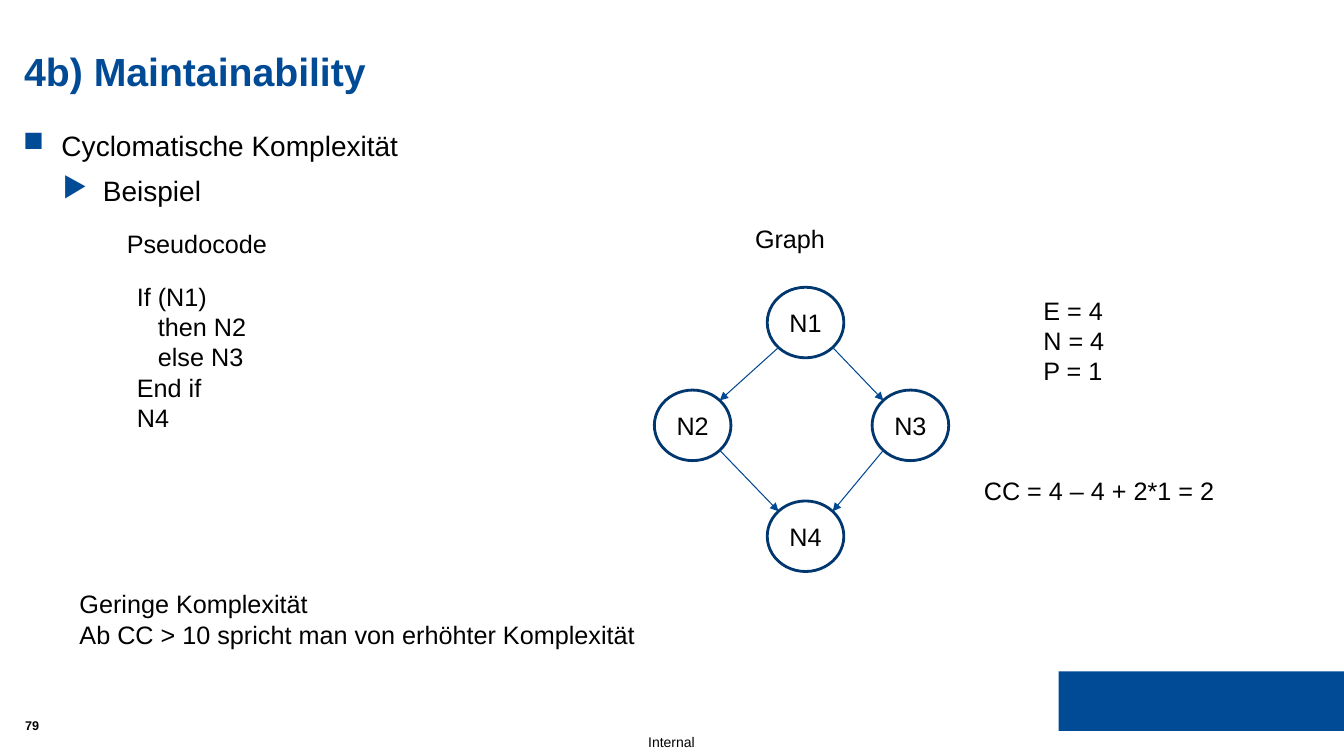
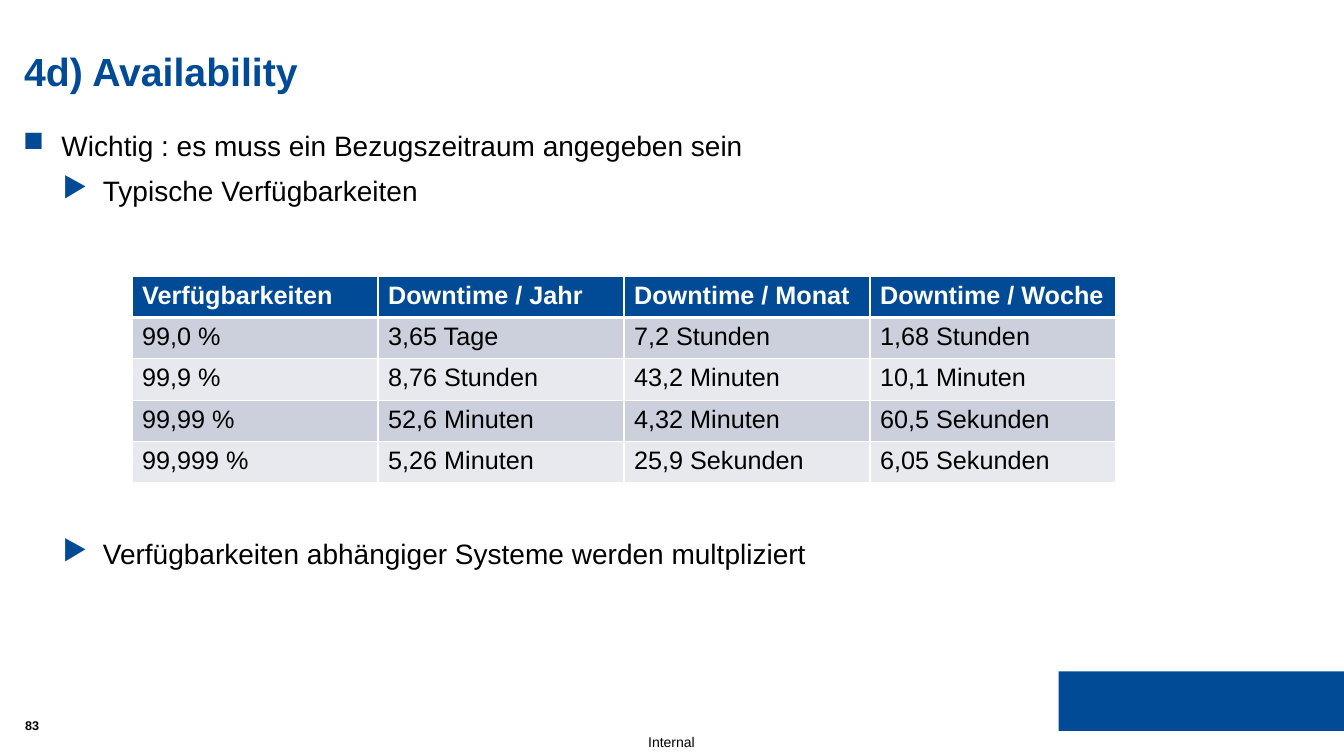
from dataclasses import dataclass
from math import copysign, sqrt

from lxml import etree
from pptx import Presentation
from pptx.dml.color import RGBColor
from pptx.enum.shapes import MSO_CONNECTOR, MSO_SHAPE
from pptx.enum.text import MSO_ANCHOR, PP_ALIGN
from pptx.oxml.ns import qn
from pptx.slide import Slide
from pptx.text.text import TextFrame, _Paragraph
from pptx.util import Inches, Pt

LINE, RECT, OVAL = MSO_CONNECTOR.STRAIGHT, MSO_SHAPE.RECTANGLE, MSO_SHAPE.OVAL
TOP, MID = MSO_ANCHOR.TOP, MSO_ANCHOR.MIDDLE
LEFT, MIDDLE = PP_ALIGN.LEFT, PP_ALIGN.CENTER

FONT = "Arial"
TITLE_ONLY = 5
COLORS = {
    "blue": "004A96", "ring": "00376F", "arrow": "004893", "text": "000000",
    "white": "FFFFFF", "dark": "CCD0DD", "light": "E7E9EF",
}
NODE_W, NODE_H = 0.76, 0.7


@dataclass(frozen=True)
class Item:
    text: str
    level: int = 0
    gap: float = 0


@dataclass(frozen=True)
class Level:
    mark: str
    left: float
    hang: float


@dataclass(frozen=True)
class Note:
    text: str
    left: float
    top: float
    width: float
    height: float


@dataclass(frozen=True)
class Node:
    name: str
    left: float
    top: float

    def rim(self, dx: float, dy: float) -> tuple[float, float]:
        """Point on the diagonal of the ellipse, towards (dx, dy)."""
        part = 0.5 / sqrt(2)
        return (self.left + NODE_W * (0.5 + copysign(part, dx)),
                self.top + NODE_H * (0.5 + copysign(part, dy)))


LEVELS = [Level("■", 0.38, 0.38), Level("▶", 0.79, 0.4)]

NOTES = [
    Note("If (N1)\n   then N2\n   else N3\nEnd if\nN4", 1.26, 2.74, 2.13, 1.62),
    Note("Pseudocode", 1.16, 2.22, 1.8, 0.4),
    Note("Graph", 7.39, 2.17, 1.2, 0.4),
    Note("E = 4\nN = 4\nP = 1", 10.25, 2.88, 1.2, 1.01),
    Note("CC = 4 – 4 + 2*1 = 2", 9.66, 4.67, 2.79, 0.4),
    Note("Geringe Komplexität\nAb CC > 10 spricht man von erhöhter Komplexität",
         0.69, 5.79, 6.1, 0.71),
]

NODES = [Node("N1", 7.61, 2.85), Node("N2", 6.49, 3.87),
         Node("N3", 8.65, 3.87), Node("N4", 7.61, 4.97)]
EDGES = [("N1", "N2"), ("N1", "N3"), ("N3", "N4"), ("N2", "N4")]

ROWS = [
    ["Verfügbarkeiten", "Downtime / Jahr", "Downtime / Monat", "Downtime / Woche"],
    ["99,0 %", "3,65 Tage", "7,2 Stunden", "1,68 Stunden"],
    ["99,9 %", "8,76 Stunden", "43,2 Minuten", "10,1 Minuten"],
    ["99,99 %", "52,6 Minuten", "4,32 Minuten", "60,5 Sekunden"],
    ["99,999 %", "5,26 Minuten", "25,9 Sekunden", "6,05 Sekunden"],
]


def tint(name: str) -> RGBColor:
    return RGBColor.from_string(COLORS[name])


def write(frame: TextFrame, text: str, *, size: float = 18, color: str = "text",
          bold: bool = False, align: PP_ALIGN = LEFT, anchor: MSO_ANCHOR = TOP,
          inset: bool = True) -> None:
    """Fill a frame, one paragraph for each line of text."""
    frame.word_wrap = True
    frame.vertical_anchor = anchor
    if not inset:
        frame.margin_left = frame.margin_right = 0
        frame.margin_top = frame.margin_bottom = 0
    for i, line in enumerate(text.split("\n")):
        para = frame.add_paragraph() if i else frame.paragraphs[0]
        para.alignment = align
        run = para.add_run()
        run.text = line
        font = run.font
        font.name, font.size, font.bold = FONT, Pt(size), bold
        font.color.rgb = tint(color)


def add_box(slide: Slide, left: float, top: float, width: float,
            height: float) -> TextFrame:
    return slide.shapes.add_textbox(Inches(left), Inches(top), Inches(width),
                                    Inches(height)).text_frame


def set_mark(para: _Paragraph, level: Level) -> None:
    props = para._p.get_or_add_pPr()
    props.set("marL", str(Inches(level.left)))
    props.set("indent", str(-Inches(level.hang)))
    color = etree.SubElement(props, qn("a:buClr"))
    etree.SubElement(color, qn("a:srgbClr"), val=COLORS["blue"])
    etree.SubElement(props, qn("a:buChar"), char=level.mark)


def add_list(slide: Slide, items: list[Item]) -> None:
    frame = add_box(slide, 0.23, 1.24, 12.85, 5.27)
    write(frame, "\n".join(item.text for item in items), size=20, inset=False)
    for para, item in zip(frame.paragraphs, items):
        set_mark(para, LEVELS[item.level])
        para.level = item.level
        para.line_spacing = 1.1
        para.space_before = Pt(item.gap)


def add_page(deck: Presentation, title: str, number: int,
             items: list[Item]) -> Slide:
    """Add a slide with the shared band, footer, title and list."""
    slide = deck.slides.add_slide(deck.slide_layouts[TITLE_ONLY])
    band = slide.shapes.add_shape(RECT, Inches(10.5), Inches(6.66),
                                  Inches(2.83), Inches(0.59))
    band.shadow.inherit = False
    band.fill.solid()
    band.fill.fore_color.rgb = tint("blue")
    band.line.fill.background()
    write(add_box(slide, 6.28, 7.23, 0.76, 0.27), "Internal", size=10,
          align=MIDDLE, anchor=MID, inset=False)
    head = slide.shapes.title
    head.left, head.top = Inches(0.24), Inches(0.47)
    head.width, head.height = Inches(12.84), Inches(0.93)
    write(head.text_frame, title, size=28, color="blue", bold=True, inset=False)
    write(add_box(slide, 0.25, 7.12, 0.42, 0.17), str(number), size=9,
          bold=True, inset=False)
    add_list(slide, items)
    return slide


def add_node(slide: Slide, node: Node) -> None:
    oval = slide.shapes.add_shape(OVAL, Inches(node.left), Inches(node.top),
                                  Inches(NODE_W), Inches(NODE_H))
    oval.shadow.inherit = False
    oval.fill.background()
    oval.line.color.rgb = tint("ring")
    oval.line.width = Pt(2)
    write(oval.text_frame, node.name, align=MIDDLE, anchor=MID, inset=False)


def add_arrow(slide: Slide, start: Node, end: Node) -> None:
    dx, dy = end.left - start.left, end.top - start.top
    ends = start.rim(dx, dy) + end.rim(-dx, -dy)
    arrow = slide.shapes.add_connector(LINE, *(Inches(v) for v in ends))
    arrow.line.color.rgb = tint("arrow")
    arrow.line.width = Pt(0.75)
    etree.SubElement(arrow.line._get_or_add_ln(), qn("a:tailEnd"), type="triangle")
    etree.SubElement(arrow._element.spPr, qn("a:effectLst"))


def set_edges(cell, row: int) -> None:
    """Draw white cell borders, thick below the header row."""
    props = cell._tc.get_or_add_tcPr()
    widths = {"L": 1, "R": 1, "T": 3 if row == 1 else 1, "B": 1 if row else 3}
    for i, (side, width) in enumerate(widths.items()):
        edge = etree.Element(qn(f"a:ln{side}"), w=str(Pt(width)))
        fill = etree.SubElement(edge, qn("a:solidFill"))
        etree.SubElement(fill, qn("a:srgbClr"), val=COLORS["white"])
        props.insert(i, edge)


def add_grid(slide: Slide, rows: list[list[str]]) -> None:
    high, wide = 0.41, 2.44
    count = len(rows[0])
    grid = slide.shapes.add_table(
        len(rows), count, Inches(1.31), Inches(2.74),
        Inches(wide * count), Inches(high * len(rows))).table
    for r, row in enumerate(rows):
        fill = ("dark" if r % 2 else "light") if r else "blue"
        for c, text in enumerate(row):
            cell = grid.cell(r, c)
            cell.fill.solid()
            cell.fill.fore_color.rgb = tint(fill)
            set_edges(cell, r)
            write(cell.text_frame, text, bold=r == 0,
                  color="text" if r else "white")


def main() -> None:
    deck = Presentation()
    deck.slide_width, deck.slide_height = Inches(13.33), Inches(7.5)

    slide = add_page(deck, "4b) Maintainability", 79, [
        Item("Cyclomatische Komplexität"), Item("Beispiel", 1, 6)])
    for note in NOTES:
        write(add_box(slide, note.left, note.top, note.width, note.height),
              note.text)
    for node in NODES:
        add_node(slide, node)
    named = {node.name: node for node in NODES}
    for start, end in EDGES:
        add_arrow(slide, named[start], named[end])

    slide = add_page(deck, "4d) Availability", 83, [
        Item("Wichtig : es muss ein Bezugszeitraum angegeben sein"),
        Item("Typische Verfügbarkeiten", 1, 6),
        Item("Verfügbarkeiten abhängiger Systeme werden multpliziert", 1, 233)])
    add_grid(slide, ROWS)

    deck.save("out.pptx")


if __name__ == "__main__":
    main()
